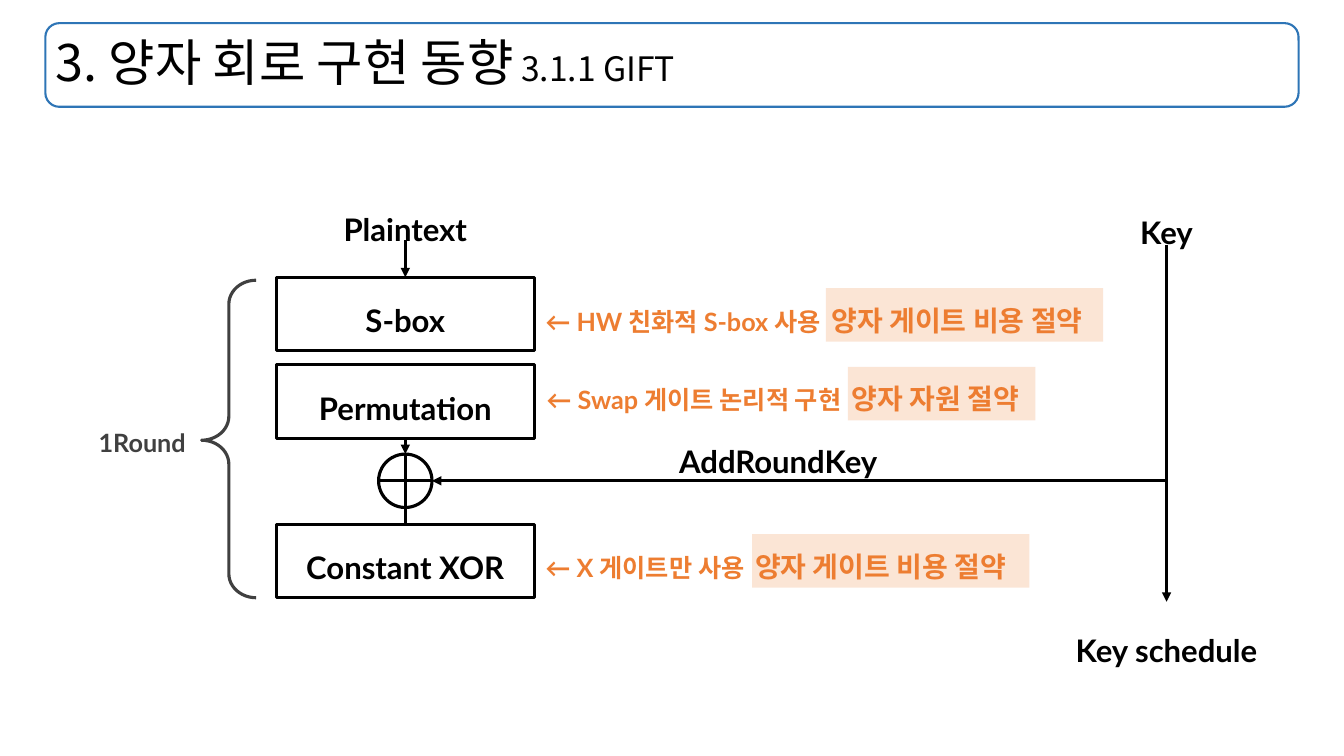
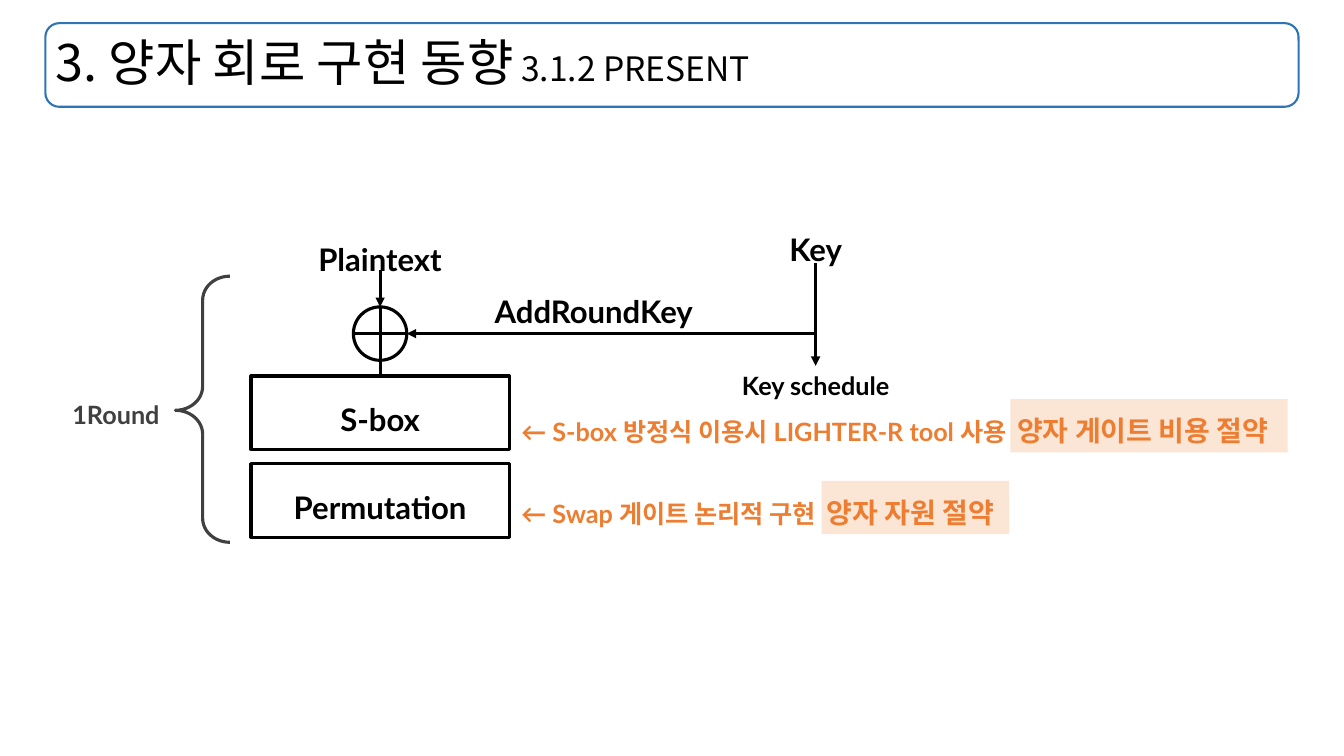
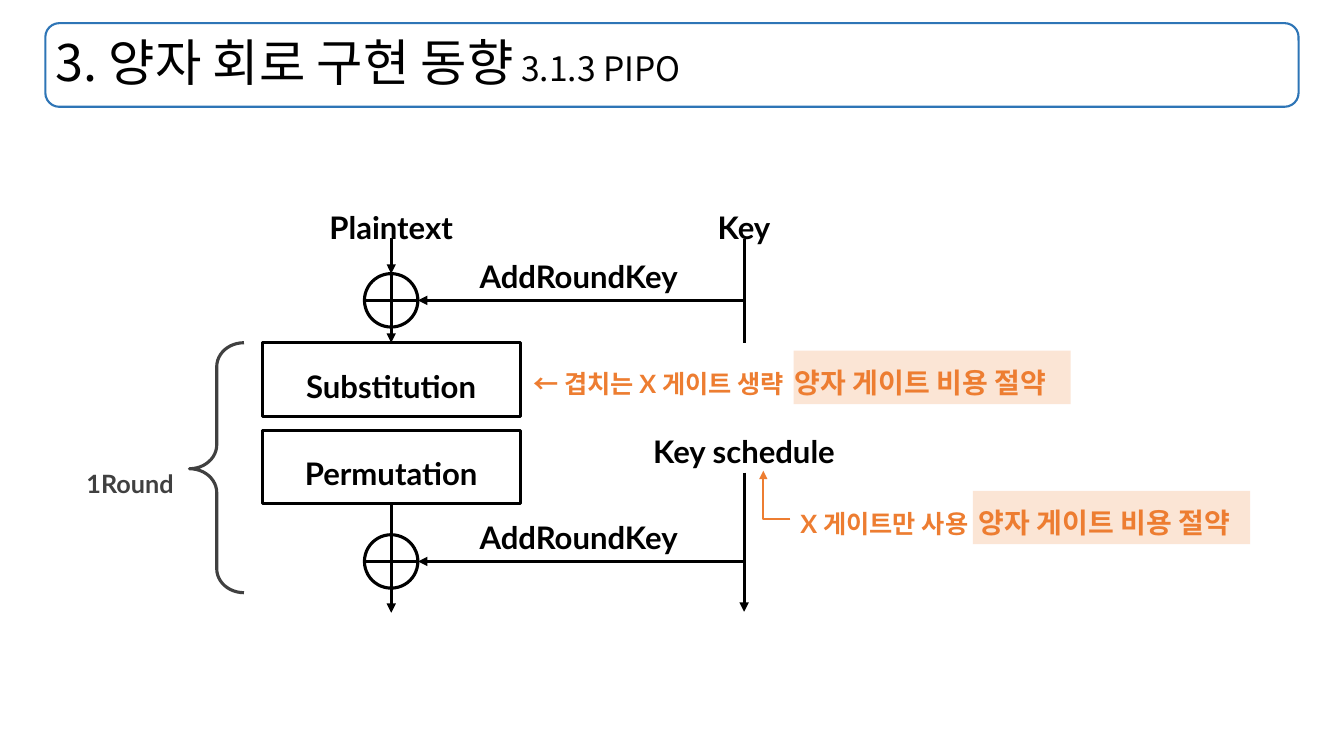
import pptx
import pptx.util
import pptx.dml.color
import pptx.enum.shapes
import pptx.enum.text
import pptx.oxml.ns
from lxml import etree

Inches = pptx.util.Inches
Pt = pptx.util.Pt
RGBColor = pptx.dml.color.RGBColor
SHAPE = pptx.enum.shapes.MSO_SHAPE
CONNECTOR = pptx.enum.shapes.MSO_CONNECTOR
ALIGN = pptx.enum.text.PP_ALIGN
ANCHOR = pptx.enum.text.MSO_ANCHOR
qn = pptx.oxml.ns.qn

BLACK = RGBColor(0x00, 0x00, 0x00)
WHITE = RGBColor(0xFF, 0xFF, 0xFF)
GRAY = RGBColor(0x40, 0x40, 0x40)
ORANGE = RGBColor(0xED, 0x7D, 0x31)
BLUE = RGBColor(0x2E, 0x75, 0xB6)

LATIN_FONT = "Lato"
KOREAN_FONT = "Noto Sans CJK KR"
SECTION = "3. 양자 회로 구현 동향"
GATE_SAVING = ("양자 게이트 비용 절약", 2.75)
RESOURCE_SAVING = ("양자 자원 절약", 1.86)

STAGE_WIDTH, STAGE_HEIGHT = 2.56, 0.73
STAGE_STEP = 0.87
GATE_SIZE = 0.53
LABEL_WIDTH, LABEL_HEIGHT = 2.43, 0.62
TOP, BOTTOM = 0, 2


def add_run(paragraph, text, size, color, bold=True, font_name=LATIN_FONT):
    run = paragraph.add_run()
    run.text = text
    run.font.size = Pt(size)
    run.font.bold = bold
    run.font.color.rgb = color
    run.font.name = font_name
    properties = run.font._element
    etree.SubElement(properties, qn("a:ea")).set("typeface", KOREAN_FONT)
    return properties


def prepare_paragraph(shape, align, spacing=1.5):
    frame = shape.text_frame
    frame.word_wrap = True
    frame.vertical_anchor = ANCHOR.MIDDLE
    paragraph = frame.paragraphs[0]
    paragraph.alignment = align
    paragraph.line_spacing = spacing
    return paragraph


def add_outline(slide, preset, left, top, width, height, color, weight=2.25, fill=None):
    shape = slide.shapes.add_shape(
        preset, Inches(left), Inches(top), Inches(width), Inches(height))
    shape.shadow.inherit = False
    if fill is None:
        shape.fill.background()
    else:
        shape.fill.solid()
        shape.fill.fore_color.rgb = fill
    if color is None:
        shape.line.fill.background()
    else:
        shape.line.color.rgb = color
        shape.line.width = Pt(weight)
    return shape


def add_topic_slide(deck, topic):
    slide = deck.slides.add_slide(deck.slide_layouts[6])
    band = add_outline(slide, SHAPE.ROUNDED_RECTANGLE, 0.45, 0.23, 12.43, 0.83, BLUE, 1.5)
    band.text_frame.margin_left = Inches(0.06)
    heading = prepare_paragraph(band, ALIGN.LEFT, 0.9)
    add_run(heading, SECTION, 36, BLACK, False, KOREAN_FONT)
    add_run(heading, " " + topic, 24, BLACK, False, KOREAN_FONT)
    return slide


def add_label(slide, text, center, top, size=22.2, color=BLACK, width=LABEL_WIDTH):
    label = slide.shapes.add_textbox(
        Inches(center - width / 2), Inches(top), Inches(width), Inches(LABEL_HEIGHT))
    add_run(prepare_paragraph(label, ALIGN.CENTER), text, size, color)


def add_stage(slide, text, center, top):
    stage = add_outline(slide, SHAPE.RECTANGLE, center - STAGE_WIDTH / 2, top,
                        STAGE_WIDTH, STAGE_HEIGHT, BLACK)
    stage.text_frame.margin_bottom = Inches(0.11)
    add_run(prepare_paragraph(stage, ALIGN.CENTER), text, 22.2, BLACK)
    return stage


def finish_connector(connector, color, weight, head):
    connector.line.color.rgb = color
    connector.line.width = Pt(weight)
    if head:
        line = connector.line._get_or_add_ln()
        etree.SubElement(line, qn("a:tailEnd")).set("type", "triangle")
    etree.SubElement(connector._element.spPr, qn("a:effectLst"))


def locate(end):
    first, second = end
    if isinstance(first, (int, float)):
        return Inches(first), Inches(second)
    edge = first.top if second == TOP else first.top + first.height
    return first.left + first.width // 2, edge


def add_flow(slide, start, finish, head=True):
    flow = slide.shapes.add_connector(CONNECTOR.STRAIGHT, *locate(start), *locate(finish))
    if not isinstance(start[0], (int, float)):
        flow.begin_connect(*start)
    if not isinstance(finish[0], (int, float)):
        flow.end_connect(*finish)
    finish_connector(flow, BLACK, 2.25, head)


def add_round_key(slide, center, middle, key_center, label_center, label_top):
    radius = GATE_SIZE / 2
    add_outline(slide, SHAPE.FLOWCHART_OR, center - radius, middle - radius,
                GATE_SIZE, GATE_SIZE, BLACK, fill=WHITE)
    add_flow(slide, (key_center, middle), (center + radius, middle))
    add_label(slide, "AddRoundKey", label_center, label_top)
    return (center, middle - radius), (center, middle + radius)


def add_round_brace(slide, left, top, height, label_top):
    brace = add_outline(slide, SHAPE.LEFT_BRACE, left, top, 0.54, height, GRAY)
    brace.adjustments[0] = 0.439
    brace.adjustments[1] = 0.504
    add_label(slide, "1Round", left - 0.59, label_top, 18, GRAY, 1.39)


def add_note(slide, method, saving, left, top, highlight_left, width=6.27):
    benefit, highlight_width = saving
    note = slide.shapes.add_textbox(
        Inches(left), Inches(top), Inches(width), Inches(LABEL_HEIGHT))
    paragraph = prepare_paragraph(note, ALIGN.LEFT)
    add_run(paragraph, method, 18, ORANGE)
    add_run(paragraph, " ", 18, ORANGE).set("spc", "350")
    add_run(paragraph, benefit, 20, ORANGE)
    highlight = add_outline(slide, SHAPE.RECTANGLE, highlight_left, top + 0.08,
                            highlight_width, 0.53, None, fill=ORANGE)
    tint = highlight._element.spPr.find(qn("a:solidFill")).find(qn("a:srgbClr"))
    etree.SubElement(tint, qn("a:alpha")).set("val", "20000")


def add_note_elbow(slide, left, top, right, bottom):
    elbow = slide.shapes.add_connector(
        CONNECTOR.ELBOW, Inches(left), Inches(top), Inches(right), Inches(bottom))
    properties = elbow._element.spPr
    properties.find(qn("a:xfrm")).set("rot", "10800000")
    properties.find(qn("a:prstGeom")).set("prst", "bentConnector2")
    finish_connector(elbow, ORANGE, 1.5, True)


def build_gift(deck):
    slide = add_topic_slide(deck, "3.1.1 GIFT")
    center, key_center = 4.02, 11.57
    sbox = add_stage(slide, "S-box", center, 2.75)
    permutation = add_stage(slide, "Permutation", center, 2.75 + STAGE_STEP)
    constant = add_stage(slide, "Constant XOR", center, 5.2)
    gate_top, gate_bottom = add_round_key(slide, center, 4.77, key_center, 7.72, 4.17)
    add_label(slide, "Plaintext", center, 1.87)
    add_flow(slide, (center, 2.38), (sbox, TOP))
    add_flow(slide, (permutation, BOTTOM), gate_top)
    add_flow(slide, gate_bottom, (constant, TOP), head=False)
    add_label(slide, "Key", key_center, 1.9)
    add_flow(slide, (key_center, 2.43), (key_center, 5.97))
    add_label(slide, "Key schedule", key_center, 6.05)
    add_round_brace(slide, 2, 2.78, 3.15, 4)
    add_note(slide, "← HW 친화적 S-box 사용", GATE_SAVING, 5.31, 2.78, 8.19)
    add_note(slide, "← Swap 게이트 논리적 구현", RESOURCE_SAVING, 5.32, 3.56, 8.41)
    add_note(slide, "← X 게이트만 사용", GATE_SAVING, 5.31, 5.22, 7.46)


def build_present(deck):
    slide = add_topic_slide(deck, "3.1.2 PRESENT")
    center, key_center = 3.77, 8.09
    sbox = add_stage(slide, "S-box", center, 3.73)
    add_stage(slide, "Permutation", center, 3.73 + STAGE_STEP)
    gate_top, gate_bottom = add_round_key(slide, center, 3.31, key_center, 5.89, 2.68)
    add_label(slide, "Plaintext", center, 2.17)
    add_flow(slide, (center, 2.68), gate_top)
    add_flow(slide, gate_bottom, (sbox, TOP), head=False)
    add_label(slide, "Key", key_center, 2.07)
    add_flow(slide, (key_center, 2.61), (key_center, 3.63))
    add_label(slide, "Key schedule", key_center, 3.44, 18)
    add_round_brace(slide, 1.74, 2.74, 2.64, 3.73)
    add_note(slide, "← S-box 방정식 이용시 LIGHTER-R tool 사용", GATE_SAVING,
             5.07, 3.88, 10.02, 8.1)
    add_note(slide, "← Swap 게이트 논리적 구현", RESOURCE_SAVING, 5.07, 4.69, 8.15)


def build_pipo(deck):
    slide = add_topic_slide(deck, "3.1.3 PIPO")
    center, key_center = 3.88, 7.38
    substitution = add_stage(slide, "Substitution", center, 3.4)
    permutation = add_stage(slide, "Permutation", center, 3.4 + STAGE_STEP)
    first_top, first_bottom = add_round_key(slide, center, 2.98, key_center, 5.74, 2.34)
    last_top, last_bottom = add_round_key(slide, center, 5.57, key_center, 5.74, 4.93)
    add_label(slide, "Plaintext", center, 1.85)
    add_flow(slide, (center, 2.36), first_top)
    add_flow(slide, first_bottom, (substitution, TOP))
    add_flow(slide, (permutation, BOTTOM), last_top, head=False)
    add_flow(slide, last_bottom, (center, 6.08))
    add_label(slide, "Key", key_center, 1.85)
    add_flow(slide, (key_center, 2.37), (key_center, 3.4), head=False)
    add_label(slide, "Key schedule", key_center, 4.07)
    add_flow(slide, (key_center, 4.69), (key_center, 6.07))
    add_round_brace(slide, 1.88, 3.4, 2.48, 4.41)
    add_note(slide, "← 겹치는 X 게이트 생략", GATE_SAVING, 5.19, 3.4, 7.87)
    add_note(slide, "X 게이트만 사용", GATE_SAVING, 7.84, 4.79, 9.65, 5.4)
    add_note_elbow(slide, 7.57, 4.67, 7.84, 5.15)


def main():
    deck = pptx.Presentation()
    deck.slide_width = Inches(13.33)
    deck.slide_height = Inches(7.5)
    build_gift(deck)
    build_present(deck)
    build_pipo(deck)
    deck.save("out.pptx")


if __name__ == "__main__":
    main()
